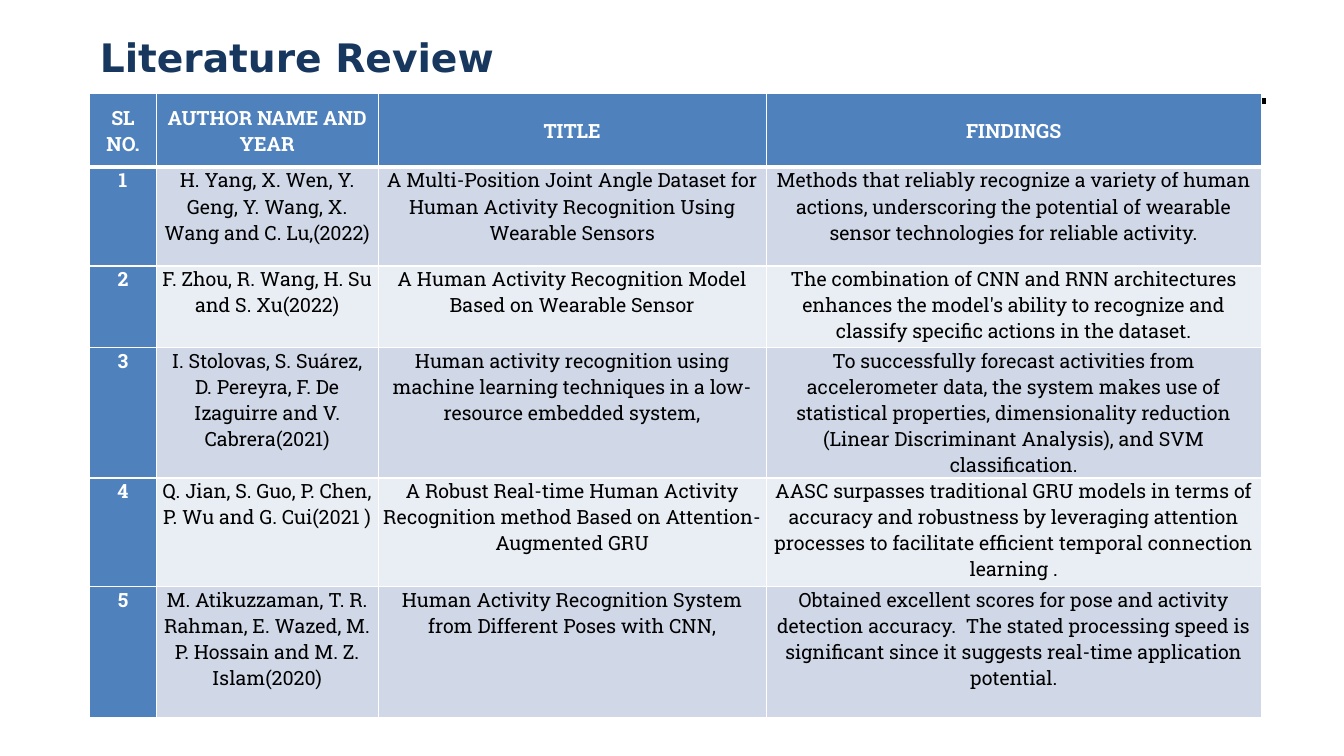
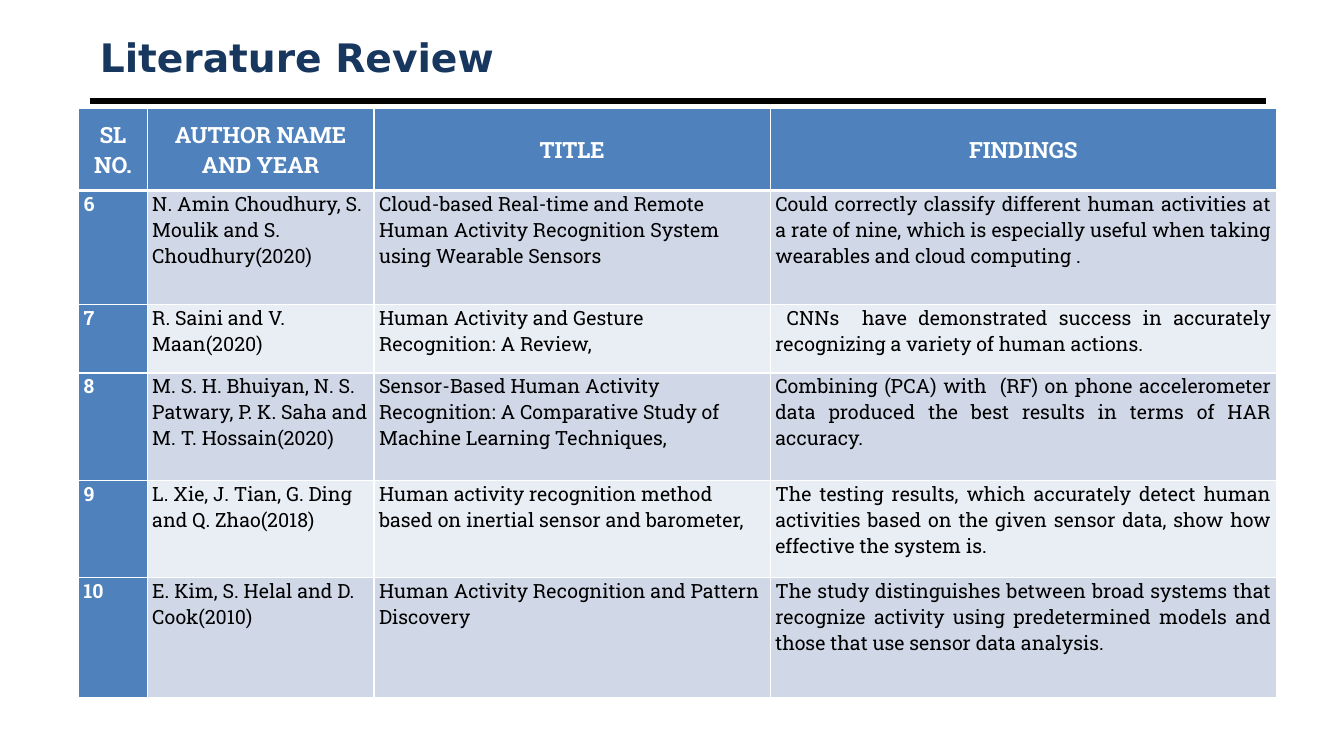
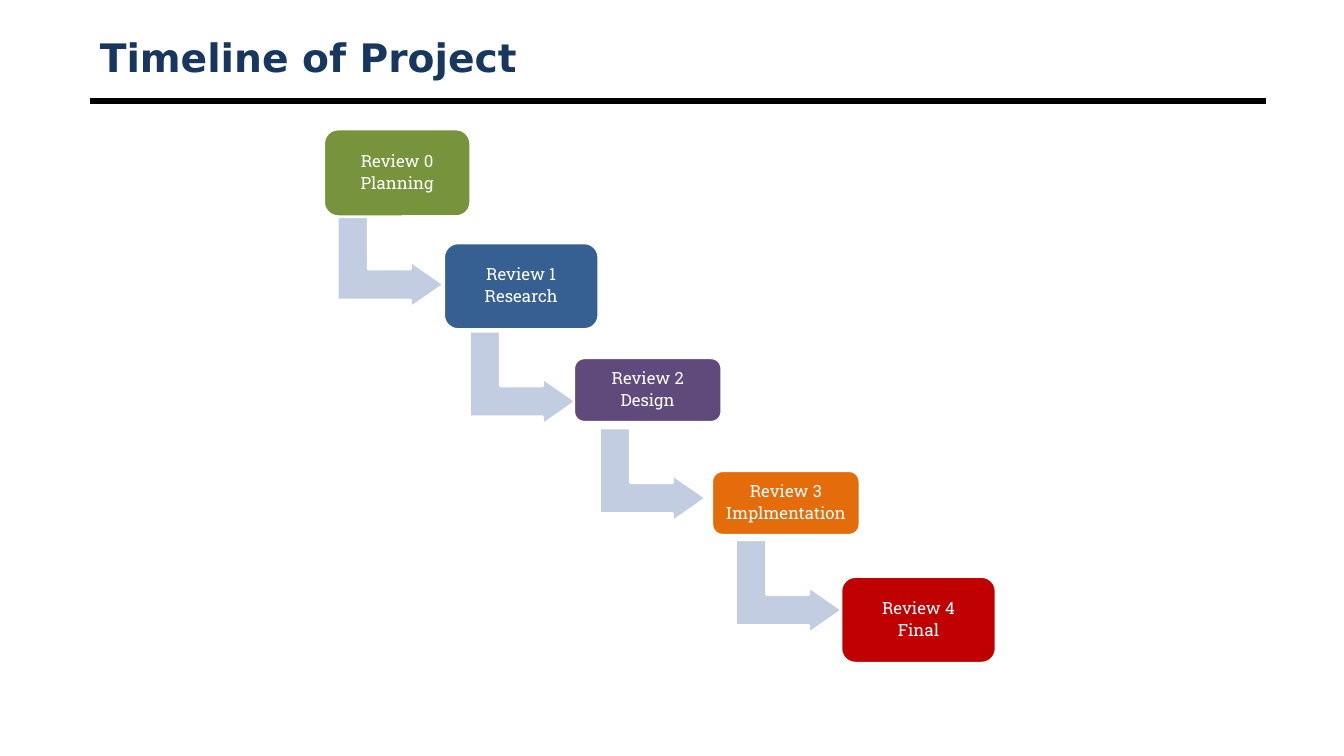
from lxml.etree import SubElement
from pptx import Presentation
from pptx.dml.color import RGBColor
from pptx.enum.shapes import MSO_CONNECTOR, MSO_SHAPE
from pptx.enum.text import MSO_ANCHOR, MSO_AUTO_SIZE, PP_ALIGN
from pptx.oxml import parse_xml
from pptx.oxml.ns import nsdecls, qn
from pptx.util import Inches, Pt

BLACK = RGBColor(0x00, 0x00, 0x00)
WHITE = RGBColor(0xFF, 0xFF, 0xFF)
NAVY = RGBColor(0x17, 0x37, 0x5E)
BLUE = RGBColor(0x4F, 0x81, 0xBD)
BAND = RGBColor(0xD0, 0xD8, 0xE8)
PALE = RGBColor(0xE9, 0xED, 0xF4)
MIST = RGBColor(0xC2, 0xCD, 0xE1)
GREEN = RGBColor(0x77, 0x93, 0x3C)
STEEL = RGBColor(0x37, 0x60, 0x92)
PLUM = RGBColor(0x60, 0x4A, 0x7B)
AMBER = RGBColor(0xE4, 0x6C, 0x0A)
RED = RGBColor(0xC0, 0x00, 0x00)

SANS = "DejaVu Sans"
SLAB = "Roboto Slab"
LEFT, CENTER, FULL = PP_ALIGN.LEFT, PP_ALIGN.CENTER, PP_ALIGN.JUSTIFY

HEADS = ["SL NO.", "AUTHOR NAME AND YEAR", "TITLE", "FINDINGS"]

FIRST = [
    ["1", "H. Yang, X. Wen, Y. Geng, Y. Wang, X. Wang and C. Lu,(2022)",
     "A Multi-Position Joint Angle Dataset for Human Activity Recognition Using Wearable Sensors",
     "Methods that reliably recognize a variety of human actions, underscoring the potential of "
     "wearable sensor technologies for reliable activity."],
    ["2", "F. Zhou, R. Wang, H. Su and S. Xu(2022)",
     "A Human Activity Recognition Model Based on Wearable Sensor",
     "The combination of CNN and RNN architectures enhances the model's ability to recognize and "
     "classify specific actions in the dataset."],
    ["3", "I. Stolovas, S. Suárez, D. Pereyra, F. De Izaguirre and V. Cabrera(2021)",
     "Human activity recognition using machine learning techniques in a low-resource embedded system,",
     "To successfully forecast activities from accelerometer data, the system makes use of "
     "statistical properties, dimensionality reduction (Linear Discriminant Analysis), and SVM "
     "classification."],
    ["4", "Q. Jian, S. Guo, P. Chen, P. Wu and G. Cui(2021 )",
     "A Robust Real-time Human Activity Recognition method Based on Attention-Augmented GRU",
     "AASC surpasses traditional GRU models in terms of accuracy and robustness by leveraging "
     "attention processes to facilitate efficient temporal connection learning ."],
    ["5", "M. Atikuzzaman, T. R. Rahman, E. Wazed, M. P. Hossain and M. Z. Islam(2020)",
     "Human Activity Recognition System from Different Poses with CNN,",
     "Obtained excellent scores for pose and activity detection accuracy.  The stated processing "
     "speed is significant since it suggests real-time application potential."],
]

SECOND = [
    ["6", "N. Amin Choudhury, S. Moulik and S. Choudhury(2020)",
     "Cloud-based Real-time and Remote Human Activity Recognition System using Wearable Sensors",
     "Could correctly classify different human activities at a rate of nine, which is especially "
     "useful when taking wearables and cloud computing ."],
    ["7", "R. Saini and V. Maan(2020)",
     "Human Activity and Gesture Recognition: A Review,",
     " CNNs  have demonstrated success in accurately recognizing a variety of human actions."],
    ["8", "M. S. H. Bhuiyan, N. S. Patwary, P. K. Saha and M. T. Hossain(2020)",
     "Sensor-Based Human Activity Recognition: A Comparative Study of Machine Learning Techniques,",
     "Combining (PCA) with  (RF) on phone accelerometer data produced the best results in terms "
     "of HAR accuracy."],
    ["9", "L. Xie, J. Tian, G. Ding and Q. Zhao(2018)",
     "Human activity recognition method based on inertial sensor and barometer,",
     "The testing results, which accurately detect human activities based on the given sensor "
     "data, show how effective the system is."],
    ["10", "E. Kim, S. Helal and D. Cook(2010)",
     "Human Activity Recognition and Pattern Discovery",
     "The study distinguishes between broad systems that recognize activity using predetermined "
     "models and those that use sensor data analysis."],
]

STEPS = [
    ("Review 0", "Planning", GREEN, (0, 0, 1.46, 0.87), (0.2, 0.78)),
    ("Review 1", "Research", STEEL, (1.19, 1.13, 1.54, 0.86), (1.51, 1.94)),
    ("Review 2", "Design", PLUM, (2.48, 2.27, 1.47, 0.64), (2.8, 2.9)),
    ("Review 3", "Implmentation", AMBER, (3.85, 3.39, 1.47, 0.64), (4.15, 4.01)),
    ("Review 4", "Final", RED, (5.13, 4.44, 1.54, 0.86), None),
]


def write(para, text, size, color, bold=False, face=SLAB):
    run = para.add_run()
    run.text = text
    font = run.font
    font.name, font.size, font.bold = face, Pt(size), bold
    font.color.rgb = color


def base(deck, title):
    slide = deck.slides.add_slide(deck.slide_layouts[5])
    rule = slide.shapes.add_connector(
        MSO_CONNECTOR.STRAIGHT, Inches(0.89), Inches(1), Inches(12.56), Inches(1))
    rule.line.color.rgb = BLACK
    rule.line.width = Pt(4.5)
    SubElement(rule.element.spPr, qn("a:effectLst"))
    head = slide.shapes.title
    head.left, head.top = Inches(0.89), Inches(0.3)
    head.width, head.height = Inches(11.67), Inches(0.53)
    frame = head.text_frame
    frame.auto_size = MSO_AUTO_SIZE.NONE
    frame.vertical_anchor = MSO_ANCHOR.MIDDLE
    para = frame.paragraphs[0]
    para.alignment = LEFT
    write(para, title, 28, NAVY, True, SANS)
    return slide


def edge(cell, foot):
    props = cell._tc.get_or_add_tcPr()
    for spot, (side, width) in enumerate([("L", 1), ("R", 1), ("T", 1), ("B", foot)]):
        props.insert(spot, parse_xml(
            f'<a:ln{side} {nsdecls("a")} w="{Pt(width)}"><a:solidFill>'
            f'<a:srgbClr val="{WHITE}"/></a:solidFill></a:ln{side}>'))


def grid(slide, left, top, cols, rows, data, size, aligns):
    table = slide.shapes.add_table(
        len(rows), len(cols), Inches(left), Inches(top),
        Inches(sum(cols)), Inches(sum(rows))).table
    for col, width in zip(table.columns, cols):
        col.width = Inches(width)
    for row, height in zip(table.rows, rows):
        row.height = Inches(height)
    for r, words in enumerate([HEADS] + data):
        for c, text in enumerate(words):
            cell = table.cell(r, c)
            head = r == 0
            key = head or c == 0
            cell.margin_left = cell.margin_right = Inches(0.05)
            cell.margin_top = cell.margin_bottom = 0
            cell.vertical_anchor = MSO_ANCHOR.MIDDLE if head else MSO_ANCHOR.TOP
            cell.fill.solid()
            cell.fill.fore_color.rgb = BLUE if key else BAND if r % 2 else PALE
            edge(cell, 3 if head else 1)
            para = cell.text_frame.paragraphs[0]
            para.alignment = CENTER if head else aligns[c]
            write(para, text, size if head else 14, WHITE if key else BLACK, key)


def form(slide, kind, left, top, width, height, color):
    shape = slide.shapes.add_shape(
        kind, Inches(left), Inches(top), Inches(width), Inches(height))
    shape.shadow.inherit = False
    shape.fill.solid()
    shape.fill.fore_color.rgb = color
    shape.line.color.rgb = WHITE
    shape.line.width = Pt(2)
    return shape


def stairs(slide, left, top):
    for name, task, color, (x, y, width, height), bend in STEPS:
        if bend:
            arrow = form(slide, MSO_SHAPE.BENT_UP_ARROW,
                         left + bend[0], top + bend[1], 0.93, 1.06, MIST)
            arrow.rotation = 90
            for spot, value in enumerate([0.33, 0.25, 0.36]):
                arrow.adjustments[spot] = value
        card = form(slide, MSO_SHAPE.ROUNDED_RECTANGLE,
                    left + x, top + y, width, height, color)
        frame = card.text_frame
        frame.word_wrap = True
        frame.vertical_anchor = MSO_ANCHOR.MIDDLE
        frame.margin_left = frame.margin_right = Inches(0.08)
        frame.margin_top = frame.margin_bottom = Inches(0.05)
        for para, text in [(frame.paragraphs[0], name), (frame.add_paragraph(), task)]:
            para.alignment = CENTER
            para.line_spacing = 0.9
            para.space_after = Pt(3)
            write(para, text, 12, WHITE)


def main():
    deck = Presentation()
    deck.slide_width, deck.slide_height = Inches(13.33), Inches(7.5)
    grid(base(deck, "Literature Review"), 0.89, 0.93, [0.66, 2.2, 3.85, 4.91],
         [0.73, 0.98, 0.81, 1.19, 1.08, 1.3], FIRST, 14, [CENTER] * 4)
    grid(base(deck, "Literature Review"), 0.78, 1.08, [0.68, 2.25, 3.93, 5.02],
         [0.81, 1.13, 0.68, 1.07, 0.96, 1.19], SECOND, 16, [LEFT, LEFT, LEFT, FULL])
    stairs(base(deck, "Timeline of Project"), 3.21, 1.28)
    deck.save("out.pptx")


if __name__ == "__main__":
    main()
